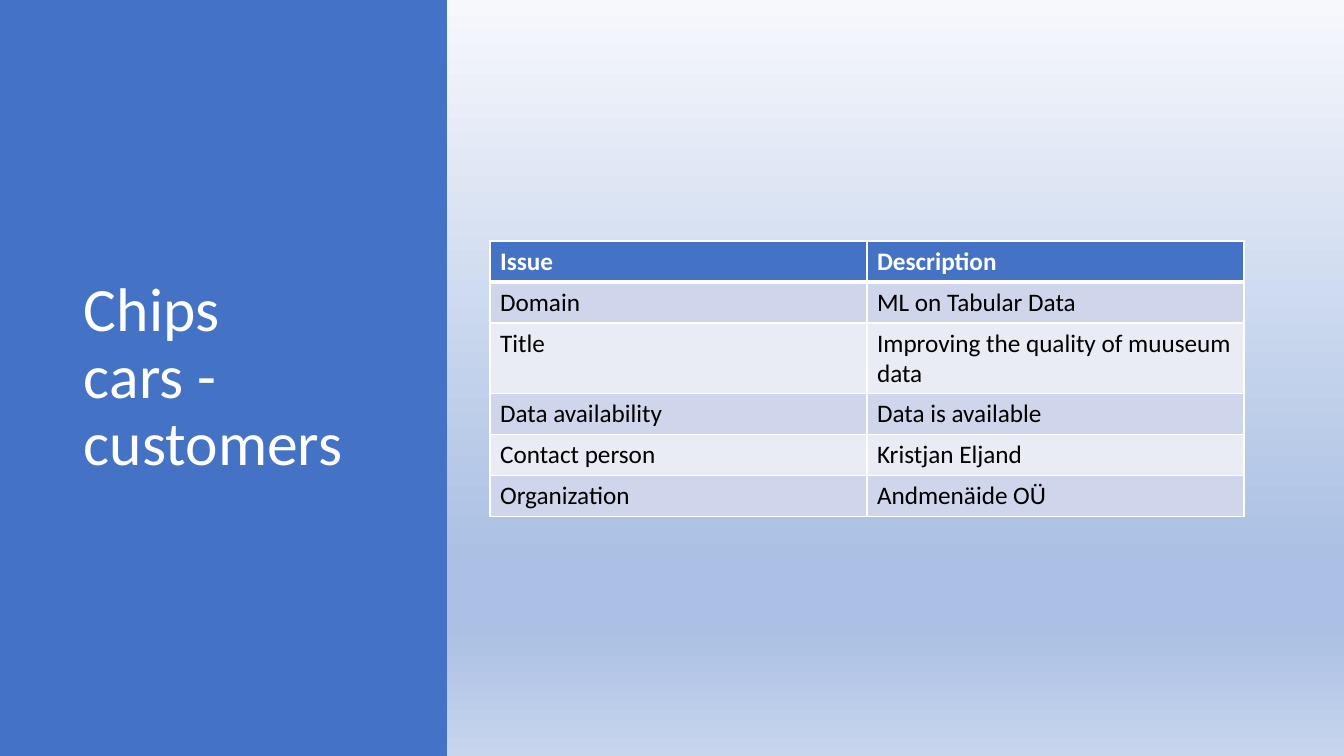
from lxml import etree
from pptx import Presentation
from pptx.dml.color import RGBColor
from pptx.enum.shapes import MSO_SHAPE
from pptx.enum.text import MSO_ANCHOR
from pptx.oxml.ns import qn
from pptx.util import Pt

RECTANGLE = MSO_SHAPE.RECTANGLE
MIDDLE = MSO_ANCHOR.MIDDLE

# Content
TITLE = "Chips\vcars - customers"
ISSUES = [
    ("Issue", "Description"),
    ("Domain ", "ML on Tabular Data"),
    ("Title", "Improving the quality of muuseum data"),
    ("Data availability", "Data is available"),
    ("Contact person", "Kristjan Eljand"),
    ("Organization", "Andmenäide OÜ"),
]

# Look
COLORS = {"blue": "4472C4", "white": "FFFFFF", "black": "000000",
          "band_dark": "CFD5EA", "band_light": "E9EBF5"}
BACKDROP = [(0, "F6F8FC"), (74, "ABC0E4"), (83, "ABC0E4"), (100, "C7D5ED")]
TITLE_FONT = {"name": "Calibri", "size": Pt(44)}
HEADER_FONT = {"name": "Calibri", "size": Pt(18), "bold": True}
BODY_FONT = {**HEADER_FONT, "bold": False}

# Layout in pixels: left, top, width, height
PX = 9071
SLIDE = (1344, 756)
PANEL_BOX = (-1, 0, 448, 756)
TITLE_BOX = (74, 69, 342, 619)
TABLE_LEFT, TABLE_TOP, COLUMN, ROW = 490, 241, 377, 41


def emu(*pixels):
    return [round(p * PX) for p in pixels]


def rgb(name):
    return RGBColor.from_string(COLORS[name])


def style(font, color, formats):
    font.color.rgb = rgb(color)
    for attribute, value in formats.items():
        setattr(font, attribute, value)


def border(cell, side, points):
    line = etree.SubElement(cell._tc.get_or_add_tcPr(), qn(f"a:ln{side}"), w=str(Pt(points)))
    fill = etree.SubElement(line, qn("a:solidFill"))
    etree.SubElement(fill, qn("a:srgbClr"), val=COLORS["white"])


presentation = Presentation()
presentation.slide_width, presentation.slide_height = emu(*SLIDE)
slide = presentation.slides.add_slide(presentation.slide_layouts[6])

# Gradient backdrop, running top to bottom
backdrop = slide.background.fill
backdrop.gradient()
backdrop.gradient_angle = 270
stops = next(slide.element.iter(qn("a:gsLst")))
for stop in list(stops):
    stops.remove(stop)
for percent, color in BACKDROP:
    stop = etree.SubElement(stops, qn("a:gs"), pos=str(percent * 1000))
    etree.SubElement(stop, qn("a:srgbClr"), val=color)

# Blue side panel
panel = slide.shapes.add_shape(RECTANGLE, *emu(*PANEL_BOX))
panel.shadow.inherit = False
panel.fill.solid()
panel.fill.fore_color.rgb = rgb("blue")
panel.line.fill.background()

# Title
title = slide.shapes.add_textbox(*emu(*TITLE_BOX)).text_frame
title.word_wrap = True
title.vertical_anchor = MIDDLE
title.text = TITLE
heading = title.paragraphs[0]
heading.line_spacing = 0.9
style(heading.font, "white", TITLE_FONT)
for run in heading.runs:
    style(run.font, "white", TITLE_FONT)

# Issue table
rows, columns = len(ISSUES), len(ISSUES[0])
table_box = emu(TABLE_LEFT, TABLE_TOP, COLUMN * columns, ROW * rows)
issues = slide.shapes.add_table(rows, columns, *table_box).table
for r, texts in enumerate(ISSUES):
    header = r == 0
    band = "blue" if header else ("band_light", "band_dark")[r % 2]
    for c, text in enumerate(texts):
        cell = issues.cell(r, c)
        cell.text = text
        font = cell.text_frame.paragraphs[0].runs[0].font
        style(font, "white" if header else "black", HEADER_FONT if header else BODY_FONT)
        for side in "LRTB":
            thick = (header and side == "B") or (r == 1 and side == "T")
            border(cell, side, 3 if thick else 1)
        cell.fill.solid()
        cell.fill.fore_color.rgb = rgb(band)

presentation.save("out.pptx")
